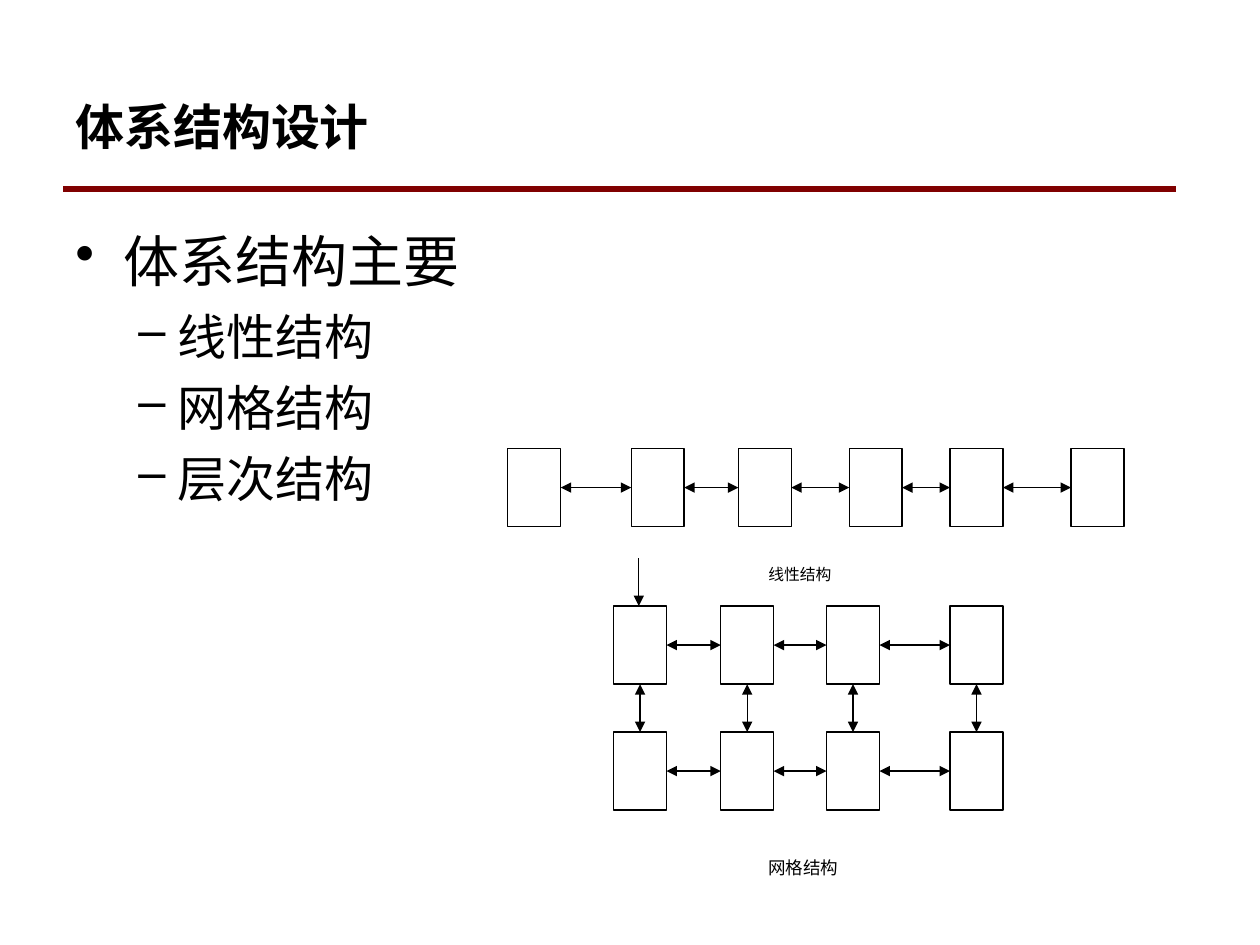
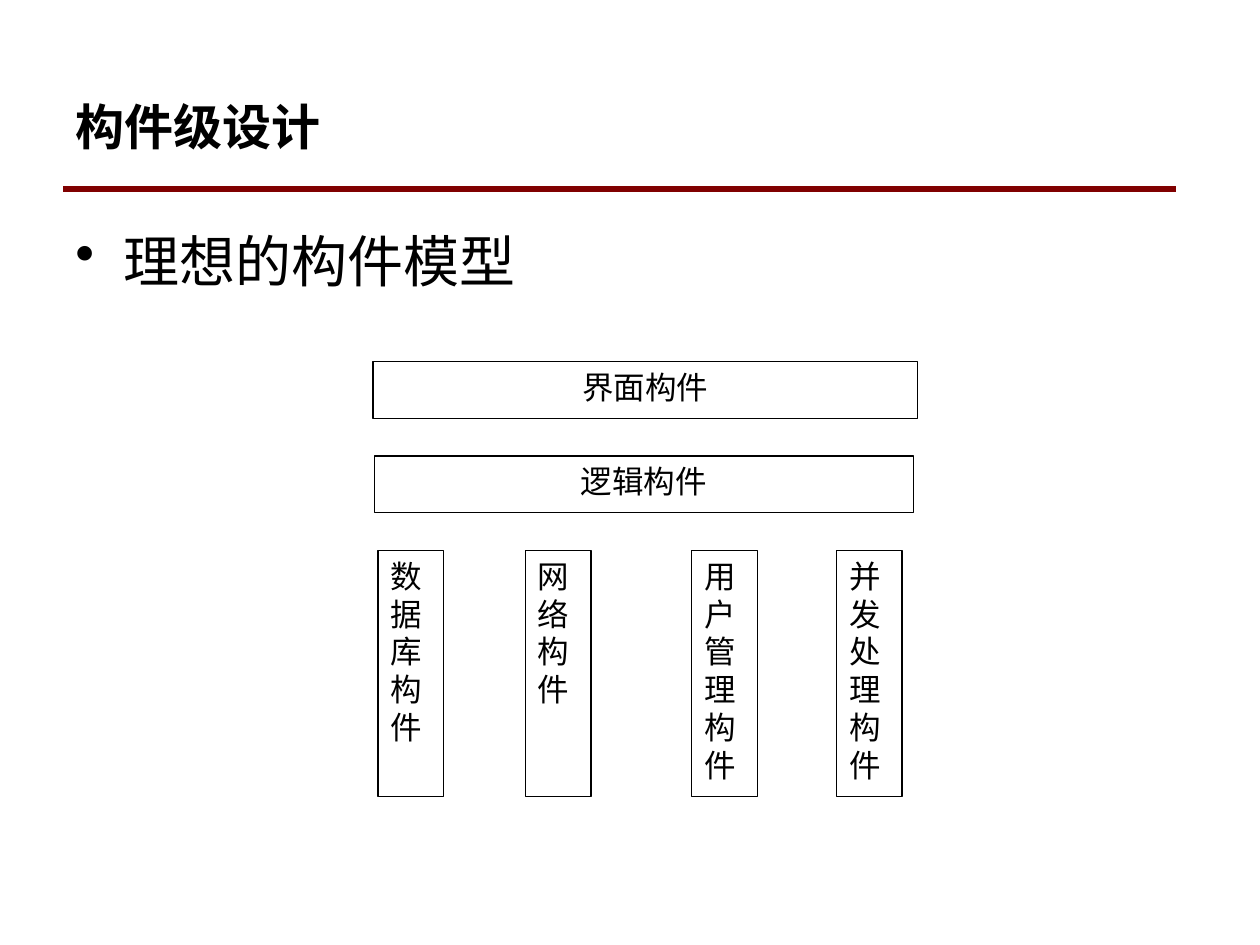
"""Builds two slides on architecture design and component-level design."""
import itertools

import lxml.etree
import pptx
import pptx.dml.color
import pptx.enum.shapes
import pptx.enum.text
import pptx.oxml.ns
import pptx.util

Inches = pptx.util.Inches
Pt = pptx.util.Pt
qn = pptx.oxml.ns.qn
ALIGN = pptx.enum.text.PP_ALIGN
ANCHOR = pptx.enum.text.MSO_ANCHOR
BLACK = pptx.dml.color.RGBColor(0x00, 0x00, 0x00)
WHITE = pptx.dml.color.RGBColor(0xFF, 0xFF, 0xFF)
MAROON = pptx.dml.color.RGBColor(0x80, 0x00, 0x00)
HEAD_FONT, LABEL_FONT = "Calibri", "Times New Roman"

ARCHITECTURE = {
    "title": "体系结构设计",
    "bullets": [(0, "体系结构主要"), (1, "线性结构"), (1, "网格结构"), (1, "层次结构")],
}
COMPONENTS = {"title": "构件级设计", "bullets": [(0, "理想的构件模型")]}
LEVELS = [
    {"size": 32, "left": 0.38, "hang": 0.38, "before": 8, "mark": "•"},
    {"size": 28, "left": 0.81, "hang": 0.31, "before": 7, "mark": "–"},
]

NODE_W, NODE_H = 0.42, 0.62
CHAIN_COLUMNS, CHAIN_ROW = [4.03, 5.01, 5.86, 6.74, 7.54, 8.5], 3.56
MESH_COLUMNS, MESH_ROWS = [4.87, 5.72, 6.56, 7.54], [4.81, 5.81]
CAPTIONS = [("线性结构", 4.43, 9), ("网格结构", 6.75, 10)]
ENTRY_X, ENTRY_TOP = 5.07, 4.43

LAYER_TOP, LAYER_STEP, BAR_H = 2.87, 0.75, 0.45
BARS = [("界面构件", 2.96, 4.32), ("逻辑构件", 2.97, 4.28)]
PILLAR_W, PILLAR_H = 0.52, 1.95
PILLARS = [("数据库", 3), ("网络", 4.17), ("用户管理", 5.49), ("并发处理", 6.64)]


def write(sp, lines, size, font, align=ALIGN.LEFT, anchor=ANCHOR.TOP, bold=False):
    tf = sp.text_frame
    tf.word_wrap = True
    tf.vertical_anchor = anchor
    tf.text = "\n".join(lines)
    for p in tf.paragraphs:
        p.alignment = align
        for r in p.runs:
            r.font.size, r.font.name, r.font.bold = Pt(size), font, bold
            r.font.color.rgb = BLACK
    return tf


def add_text(s, at, lines, size, font, **style):
    return write(s.shapes.add_textbox(*map(Inches, at)), lines, size, font, **style)


def add_box(s, *at):
    sp = s.shapes.add_shape(pptx.enum.shapes.MSO_SHAPE.RECTANGLE, *map(Inches, at))
    sp.shadow.inherit = False
    sp.fill.solid()
    sp.fill.fore_color.rgb = WHITE
    sp.line.color.rgb = BLACK
    sp.line.width = Pt(0.75)
    return sp


def add_line(s, at=(0, 0, 0, 0), color=BLACK, width=0.75, ends=()):
    c = s.shapes.add_connector(pptx.enum.shapes.MSO_CONNECTOR.STRAIGHT, *map(Inches, at))
    c.line.color.rgb = color
    c.line.width = Pt(width)
    for end in ends:
        lxml.etree.SubElement(c.get_or_add_ln(), qn(f"a:{end}"), type="triangle")
    lxml.etree.SubElement(c._element.spPr, qn("a:effectLst"))
    return c


def link_nodes(s, nodes, leave, enter):
    for a, b in itertools.pairwise(nodes):
        c = add_line(s, ends=("headEnd", "tailEnd"))
        c.begin_connect(a, leave)
        c.end_connect(b, enter)


def add_row(s, columns, top):
    nodes = [add_box(s, left, top, NODE_W, NODE_H) for left in columns]
    link_nodes(s, nodes, 3, 1)
    return nodes


def add_bullets(s, bullets):
    tf = add_text(s, (0.5, 1.75, 9.08, 4.83), [text for _, text in bullets], 32, HEAD_FONT)
    for i, (p, (depth, _)) in enumerate(zip(tf.paragraphs, bullets)):
        level = LEVELS[depth]
        pPr = p._p.get_or_add_pPr()
        pPr.set("marL", str(Inches(level["left"])))
        pPr.set("indent", str(-Inches(level["hang"])))
        lxml.etree.SubElement(pPr, qn("a:buChar"), char=level["mark"])
        p.level = depth
        p.space_before = Pt(level["before"] if i else 0)
        p.runs[0].font.size = Pt(level["size"])


def add_slide(prs, content):
    s = prs.slides.add_slide(prs.slide_layouts[6])
    add_line(s, (0.5, 1.5, 9.33, 1.5), MAROON, 3)
    add_text(s, (0.5, 0.5, 8.83, 1), [content["title"]], 28, HEAD_FONT,
             anchor=ANCHOR.MIDDLE, bold=True)
    add_bullets(s, content["bullets"])
    return s


def draw_architecture(s):
    add_row(s, CHAIN_COLUMNS, CHAIN_ROW)
    mesh = [add_row(s, MESH_COLUMNS, top) for top in MESH_ROWS]
    for column in zip(*mesh):
        link_nodes(s, column, 2, 0)
    add_line(s, (ENTRY_X, ENTRY_TOP, ENTRY_X, MESH_ROWS[0]), ends=("tailEnd",))
    for text, top, size in CAPTIONS:
        add_text(s, (6, top, 1.12, 0.35), [text], size, LABEL_FONT, align=ALIGN.JUSTIFY)


def draw_components(s):
    for i, (text, left, width) in enumerate(BARS):
        bar = add_box(s, left, LAYER_TOP + i * LAYER_STEP, width, BAR_H)
        write(bar, [text], 18, LABEL_FONT, ALIGN.CENTER)
    pillar_top = LAYER_TOP + len(BARS) * LAYER_STEP
    for text, left in PILLARS:
        pillar = add_box(s, left, pillar_top, PILLAR_W, PILLAR_H)
        write(pillar, [text, "构件"], 18, LABEL_FONT, ALIGN.JUSTIFY)


def main():
    prs = pptx.Presentation()
    prs.slide_width, prs.slide_height = Inches(10), Inches(7.5)
    draw_architecture(add_slide(prs, ARCHITECTURE))
    draw_components(add_slide(prs, COMPONENTS))
    prs.save("out.pptx")


if __name__ == "__main__":
    main()
